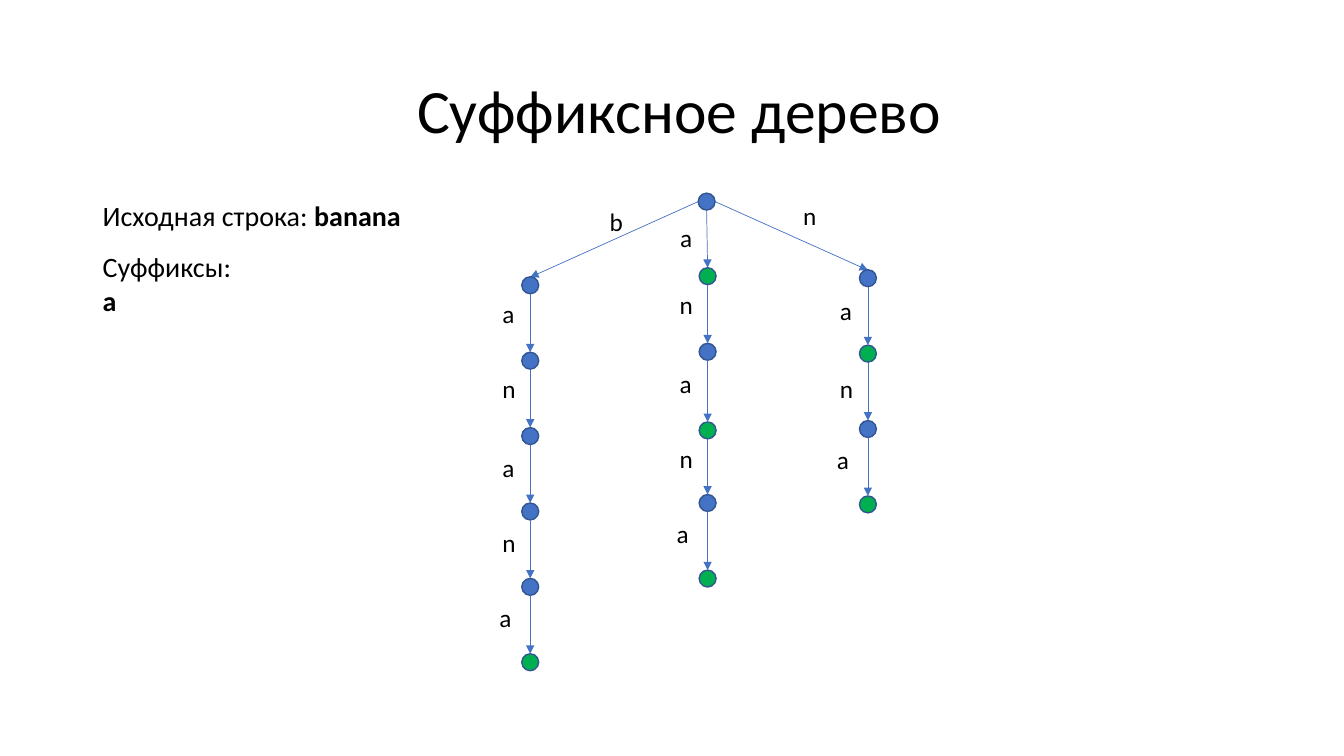
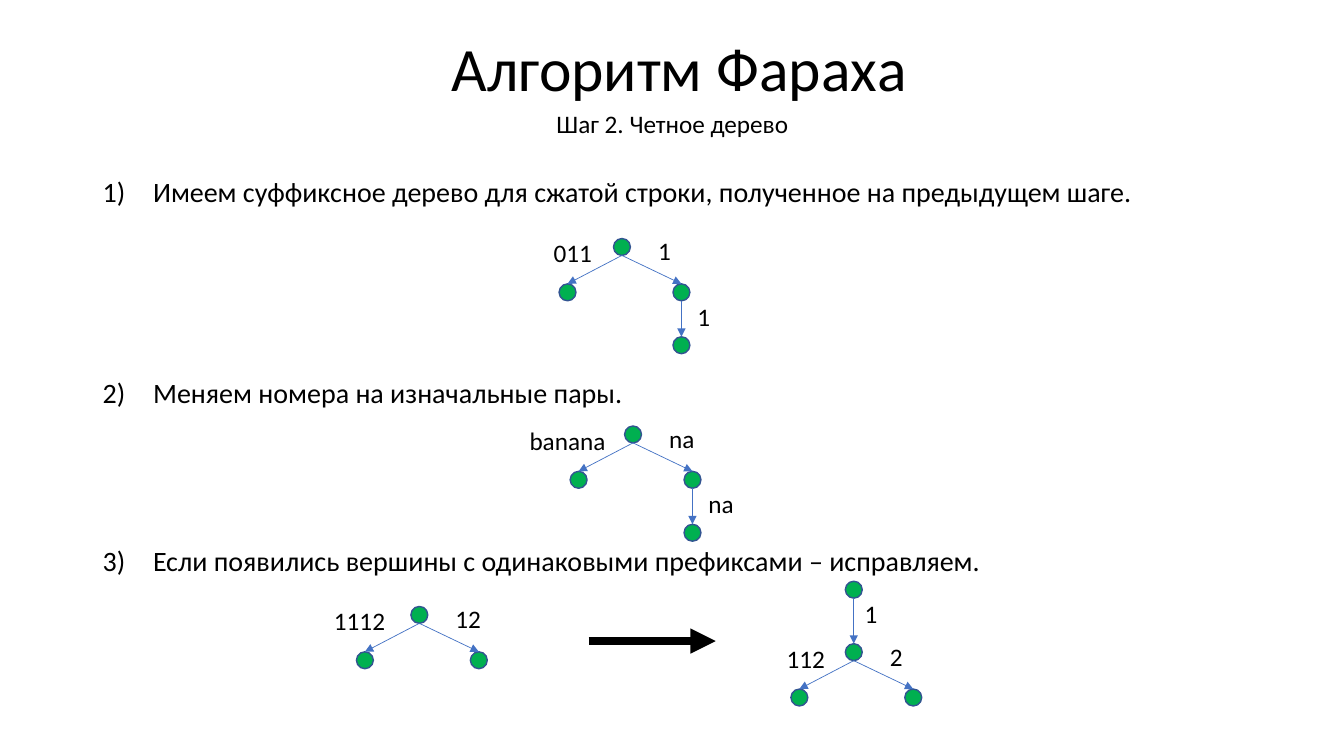
from pptx import Presentation
from pptx.dml.color import RGBColor
from pptx.enum import shapes, text
from pptx.oxml.ns import qn
from pptx.util import Inches, Pt
from lxml import etree

BLACK = RGBColor(0, 0, 0)
BLUE = RGBColor(0x44, 0x72, 0xC4)
GREEN = RGBColor(0x00, 0xB0, 0x50)
EDGE = RGBColor(0x32, 0x54, 0x91)
FONT = "Calibri"
LEFT = text.PP_ALIGN.LEFT
MID = text.PP_ALIGN.CENTER
CELL = 0.1      # grid cell in inches: all lengths below are columns and rows
DOT = 1.68      # node diameter
HALF = DOT / 2


def grid(*cells):
    return [Inches(c * CELL) for c in cells]


class Deck:
    def __init__(self):
        self.show = Presentation()
        self.show.slide_width, self.show.slide_height = grid(133.33, 75)

    def page(self, title, top):
        self.slide = self.show.slides.add_slide(self.show.slide_layouts[6])
        self.area = self.slide.shapes
        frame = self.words(9.2, top, 115, 14.5, [title], 44, MID, grow=False)
        frame.vertical_anchor = text.MSO_ANCHOR.MIDDLE
        frame.paragraphs[0].line_spacing = 0.9

    def words(self, x, y, wide, high, lines, size=18, align=LEFT, grow=True):
        """Each line is a string; a (plain, bold) pair mixes weights."""
        frame = self.area.add_textbox(*grid(x, y, wide, high)).text_frame
        frame.word_wrap = True
        if grow:
            frame.auto_size = text.MSO_AUTO_SIZE.SHAPE_TO_FIT_TEXT
        for i, line in enumerate(lines):
            para = frame.add_paragraph() if i else frame.paragraphs[0]
            para.alignment = align
            parts = (line, "") if isinstance(line, str) else line
            for part, bold in zip(parts, (False, True)):
                if part:
                    run = para.add_run()
                    run.text = part
                    font = run.font
                    font.name, font.size, font.bold = FONT, Pt(size), bold
                    font.color.rgb = BLACK
        return frame

    def steps(self, frame, gaps):
        for para, gap in zip(frame.paragraphs, gaps):
            para.space_before = Pt(gap)
            props = para._p.get_or_add_pPr()
            props.set("marL", str(Inches(0.5)))
            props.set("indent", str(Inches(-0.5)))
            etree.SubElement(props, qn("a:buFont"), typeface="+mj-lt")
            etree.SubElement(props, qn("a:buAutoNum"), type="arabicParenR")

    def label(self, x, y, word, wide=3.7):
        self.words(x, y, wide, 4, [word])

    def node(self, x, y, fill=GREEN):
        dot = self.area.add_shape(shapes.MSO_SHAPE.OVAL,
                                  *grid(x - HALF, y - HALF, DOT, DOT))
        dot.shadow.inherit = False
        dot.fill.solid()
        dot.fill.fore_color.rgb = fill
        dot.line.color.rgb = EDGE
        dot.line.width = Pt(1)

    def arrow(self, x1, y1, x2, y2, color=BLUE, width=0.5):
        link = self.area.add_connector(shapes.MSO_CONNECTOR.STRAIGHT,
                                       *grid(x1, y1, x2, y2))
        link.line.color.rgb = color
        link.line.width = Pt(width)
        etree.SubElement(link.line._get_or_add_ln(), qn("a:tailEnd"),
                         type="triangle")
        etree.SubElement(link._element.spPr, qn("a:effectLst"))

    def edge(self, x1, y1, x2, y2):
        """Arrow from the foot of one node to the head of another."""
        self.arrow(x1, y1 + HALF, x2, y2 - HALF)

    def chain(self, x, rows, fills, word, tops):
        for y, fill in zip(rows, fills):
            self.node(x, y, fill)
        for y, below in zip(rows, rows[1:]):
            self.edge(x, y, x, below)
        for i, (sign, top) in enumerate(zip(word, tops), 1):
            shift = 4.05 if i == len(word) else 3.75
            self.label(x - shift, top, sign)

    def fork(self, x, y, left, right, wides, tail=None):
        self.area = self.slide.shapes.add_group_shape().shapes
        kids, low = (x - 5.4, x + 5.9), y + 4.5
        self.node(x, y)
        for kid in kids:
            self.node(kid, low)
            self.edge(x, y, kid, low)
        self.label(x - 1.65 - wides[0], y - 1.4, left, wides[0])
        self.label(x + 2.6, y - 1.6, right, wides[1])
        if tail:
            self.node(kids[1], y + 9.75)
            self.edge(kids[1], low, kids[1], y + 9.75)
            self.label(x + 6.5, y + 4.9, tail, wides[1])
        self.area = self.slide.shapes


deck = Deck()

# Slide 1: suffix tree
deck.page(" Суффиксное дерево", 4)
deck.words(9.2, 19.2, 36.9, 4.4, [("Исходная строка: ", "banana")], 20)
deck.words(9.2, 24.3, 36.9, 7.7, ["Суффиксы: ", ("", "a")], 20)

# Root and its three branches
ROOT, TOP, STEP = 70.1, 20, 7.48
deck.node(ROOT, TOP, BLUE)
deck.arrow(ROOT - HALF, TOP, 52.6, 27.5)
deck.edge(ROOT, TOP, 70.2, 27.4)
deck.arrow(ROOT + HALF, TOP, 86.1, 26.8)
for x, y, sign in ((59.5, 20, "b"), (66.5, 21.6, "a"), (78.7, 19.4, "n")):
    deck.label(x, y, sign)

# Chains below the root
deck.chain(52.6, [28.3 + STEP * i for i in range(6)], [BLUE] * 5 + [GREEN],
           "anana", (29.1, 36.5, 44.4, 51.8, 59.3))
deck.chain(70.2, (27.4, 34.9, 42.7, 49.9, 57.4), [GREEN, BLUE] * 2 + [GREEN],
           "nana", (28.2, 36.1, 43.5, 50.9))
deck.chain(86.1, [27.6 + STEP * i for i in range(4)], [BLUE, GREEN] * 2,
           "ana", (28.8, 36.5, 43.6))

# Slide 2: even tree
deck.page(" Алгоритм Фараха", -0.2)
deck.words(48.8, 10.3, 35.8, 4, ["Шаг 2. Четное дерево"], 18, MID)
tasks = deck.words(9.2, 16.8, 114.1, 41.4, [
    "Имеем суффиксное дерево для сжатой строки, полученное на предыдущем шаге.",
    "Меняем номера на изначальные пары.",
    "Если появились вершины с одинаковыми префиксами – исправляем.",
], 20)
deck.steps(tasks, (0, 120, 96))

# Trees under each step
deck.fork(61.7, 24.5, "011", "1", (6.1, 3.7), "1")
deck.fork(62.8, 43.1, "banana", "na", (9.6, 5.4), "na")
deck.fork(41.6, 61, "1112", "12", (7.8, 7.8))
deck.fork(84.7, 64.7, "112", "2", (6, 7.8))

# Merged prefix
deck.node(84.7, 58.5)
deck.edge(84.7, 58.5, 84.7, 64.7)
deck.label(84.8, 58.9, "1", 3.3)
deck.arrow(58.4, 63.6, 71, 63.6, BLACK, 6)

deck.show.save("out.pptx")
